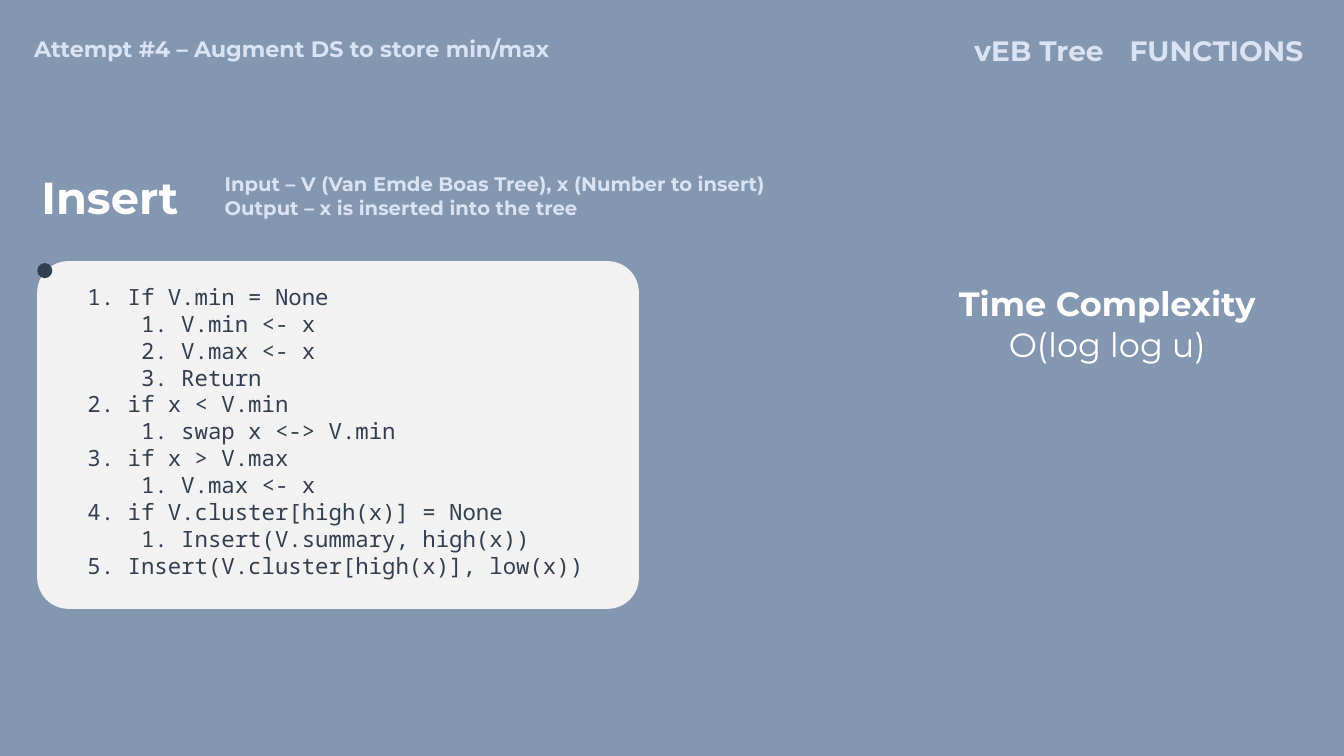
"""Build the slide on inserting into a vEB tree."""
from dataclasses import dataclass

from pptx import Presentation
from pptx.dml.color import RGBColor
from pptx.enum.shapes import MSO_SHAPE
from pptx.enum.text import MSO_ANCHOR, MSO_AUTO_SIZE, PP_ALIGN
from pptx.util import Pt

SANS, MONO = "Montserrat", "Noto Sans Mono"
BACKGROUND, PALE, WHITE, CARD, DARK = "8497B0", "DAE3F3", "FFFFFF", "F2F2F2", "333F50"

PSEUDOCODE = """1. If V.min = None
    1. V.min <- x
    2. V.max <- x
    3. Return
2. if x < V.min
    1. swap x <-> V.min
3. if x > V.max
    1. V.max <- x
4. if V.cluster[high(x)] = None
    1. Insert(V.summary, high(x))
5. Insert(V.cluster[high(x)], low(x))"""


@dataclass(frozen=True)
class Box:
    left: float
    top: float
    width: float
    height: float


@dataclass(frozen=True)
class Label:
    box: Box
    text: str
    size: float
    color: str = PALE
    font: str = SANS
    bold_lines: int = 2
    align: PP_ALIGN = PP_ALIGN.LEFT


@dataclass(frozen=True)
class Panel:
    box: Box
    kind: MSO_SHAPE
    color: str
    rounding: float | None = None


TITLE = Label(Box(22.3, 117.4, 268.6, 46), "Insert", 32, WHITE, align=PP_ALIGN.JUSTIFY)

PANELS = [
    Panel(Box(26.6, 186.5, 429.8, 248.4), MSO_SHAPE.ROUNDED_RECTANGLE, CARD, 0.09),
    Panel(Box(26.6, 187.9, 10.8, 10.8), MSO_SHAPE.OVAL, DARK),
]

LABELS = [
    Label(Box(689, 20.2, 108, 31.5), "vEB Tree", 20),
    Label(Box(792.7, 20.2, 145.4, 31.5), "FUNCTIONS", 20, align=PP_ALIGN.RIGHT),
    Label(Box(17.3, 21.6, 432, 26.6), "Attempt #4 – Augment DS to store min/max", 16),
    Label(Box(153.4, 119.5, 508.3, 41),
          "Input – V (Van Emde Boas Tree), x (Number to insert)\n"
          "Output – x is inserted into the tree", 14),
    Label(Box(649.4, 198.7, 283, 65.5), "Time Complexity\nO(log log u)", 24, WHITE,
          bold_lines=1, align=PP_ALIGN.CENTER),
    Label(Box(55.4, 198.7, 411.8, 220.3), PSEUDOCODE, 16, DARK, MONO, bold_lines=0),
]


def rgb(value: str) -> RGBColor:
    return RGBColor.from_string(value)


def place(sp, box: Box) -> None:
    sp.left, sp.top = Pt(box.left), Pt(box.top)
    sp.width, sp.height = Pt(box.width), Pt(box.height)


def write(sp, label: Label) -> None:
    place(sp, label.box)
    tf = sp.text_frame
    tf.text = label.text
    tf.word_wrap = True
    tf.auto_size = MSO_AUTO_SIZE.NONE
    tf.vertical_anchor = MSO_ANCHOR.TOP
    for i, p in enumerate(tf.paragraphs):
        p.alignment = label.align
        for r in p.runs:
            r.font.name = label.font
            r.font.size = Pt(label.size)
            r.font.bold = i < label.bold_lines
            r.font.color.rgb = rgb(label.color)


def draw_panel(s, panel: Panel) -> None:
    sp = s.shapes.add_shape(panel.kind, 0, 0, 0, 0)
    place(sp, panel.box)
    if panel.rounding is not None:
        sp.adjustments[0] = panel.rounding
    sp.shadow.inherit = False
    sp.fill.solid()
    sp.fill.fore_color.rgb = rgb(panel.color)
    sp.line.fill.background()


def main() -> None:
    prs = Presentation()
    prs.slide_width, prs.slide_height = Pt(960), Pt(540)
    s = prs.slides.add_slide(prs.slide_layouts.get_by_name("Title Only"))
    s.background.fill.solid()
    s.background.fill.fore_color.rgb = rgb(BACKGROUND)
    write(s.shapes.title, TITLE)
    for panel in PANELS:
        draw_panel(s, panel)
    for label in LABELS:
        write(s.shapes.add_textbox(0, 0, 0, 0), label)
    prs.save("out.pptx")


if __name__ == "__main__":
    main()
